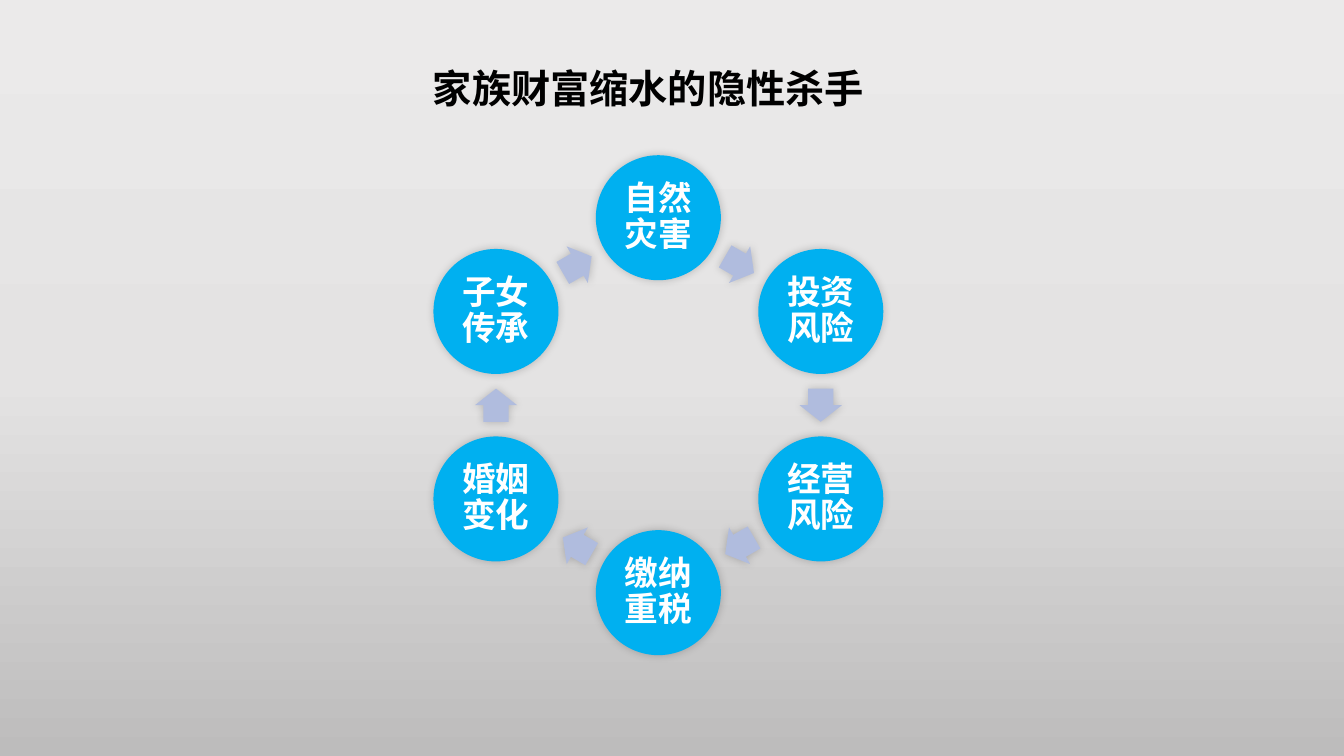
from copy import deepcopy
from dataclasses import dataclass
from math import cos, radians, sin

from lxml import etree
from pptx import Presentation
from pptx.dml.color import RGBColor
from pptx.enum.shapes import MSO_SHAPE
from pptx.enum.text import MSO_ANCHOR, MSO_AUTO_SIZE, PP_ALIGN
from pptx.oxml.ns import qn
from pptx.util import Inches, Pt

OVAL = MSO_SHAPE.OVAL
ARROW = MSO_SHAPE.RIGHT_ARROW
TOP, MIDDLE = MSO_ANCHOR.TOP, MSO_ANCHOR.MIDDLE
CENTER = PP_ALIGN.CENTER
NO_FIT = MSO_AUTO_SIZE.NONE

FONT = "Noto Sans CJK SC"
BACKGROUND = ((0, "EBEAEA"), (0.5, "E4E3E3"), (1, "BDBCBC"))
RISKS = ("自然灾害", "投资风险", "经营风险", "缴纳重税", "婚姻变化", "子女传承")

# Ring geometry, in inches and degrees
RING_X, RING_Y = 6.53, 4.02
CIRCLE_RADIUS, ARROW_RADIUS = 1.86, 1.61
STEP = 360 / len(RISKS)


@dataclass
class RingShape:
    kind: int
    width: float
    height: float
    radius: float
    fill: str


CIRCLE = RingShape(OVAL, 1.24, 1.24, CIRCLE_RADIUS, "00B0F0")
LINK = RingShape(ARROW, 0.33, 0.42, ARROW_RADIUS, "B0BCDE")


def color(value: str) -> RGBColor:
    return RGBColor.from_string(value)


def paint_background(page) -> None:
    fill = page.background.fill
    fill.gradient()
    fill.gradient_angle = 270
    stop_list = page.background._cSld.find(".//" + qn("a:gsLst"))
    stop_list.append(deepcopy(stop_list[-1]))
    for stop, (position, value) in zip(fill.gradient_stops, BACKGROUND):
        stop.position = position
        stop.color.rgb = color(value)


def write(box, text: str, size: int, value: str, anchor, inset: float) -> None:
    frame = box.text_frame
    frame.auto_size = NO_FIT
    frame.word_wrap = True
    frame.vertical_anchor = anchor
    frame.margin_left = frame.margin_right = Inches(inset)
    frame.margin_top = frame.margin_bottom = Inches(inset)
    para = frame.paragraphs[0]
    para.alignment = CENTER
    para.line_spacing = 0.9
    para.space_before = Pt(0)
    span = para.add_run()
    span.text = text
    span.font.size = Pt(size)
    span.font.bold = True
    span.font.color.rgb = color(value)
    span.font.name = FONT
    etree.SubElement(span.font._element, qn("a:ea"), typeface=FONT)


def add_glow_shadow(shape) -> None:
    shape.shadow.inherit = False
    effects = shape._element.spPr.find(qn("a:effectLst"))
    shadow = etree.SubElement(effects, qn("a:outerShdw"), blurRad=str(Pt(6)),
                              dist="0", dir="18900000", rotWithShape="0")
    tint = etree.SubElement(shadow, qn("a:srgbClr"), val="000000")
    etree.SubElement(tint, qn("a:alpha"), val="20000")


def add_on_ring(page, item: RingShape, angle: float):
    """Place a shape on the ring, with angle measured clockwise from the top."""
    x = RING_X + item.radius * sin(radians(angle))
    y = RING_Y - item.radius * cos(radians(angle))
    shape = page.shapes.add_shape(
        item.kind, Inches(x - item.width / 2), Inches(y - item.height / 2),
        Inches(item.width), Inches(item.height))
    shape.fill.solid()
    shape.fill.fore_color.rgb = color(item.fill)
    shape.line.fill.background()
    add_glow_shadow(shape)
    return shape


def main() -> None:
    deck = Presentation()
    deck.slide_width, deck.slide_height = Inches(13.33), Inches(7.5)
    page = deck.slides.add_slide(deck.slide_layouts[5])
    paint_background(page)

    # Title
    title = page.shapes.title
    title.left, title.top = Inches(1.76), Inches(0.64)
    title.width, title.height = Inches(9.34), Inches(0.7)
    write(title, "家族财富缩水的隐性杀手", 28, "000000", TOP, 0.05)

    # Cycle of risks, each followed by an arrow to the next
    for index, risk in enumerate(RISKS):
        angle = index * STEP
        circle = add_on_ring(page, CIRCLE, angle)
        write(circle, risk, 24, "FFFFFF", MIDDLE, 0.03)
        arrow = add_on_ring(page, LINK, angle + STEP / 2)
        arrow.rotation = angle + STEP / 2
        arrow.adjustments[0] = 0.6
        arrow.adjustments[1] = 0.5

    deck.save("out.pptx")


if __name__ == "__main__":
    main()
